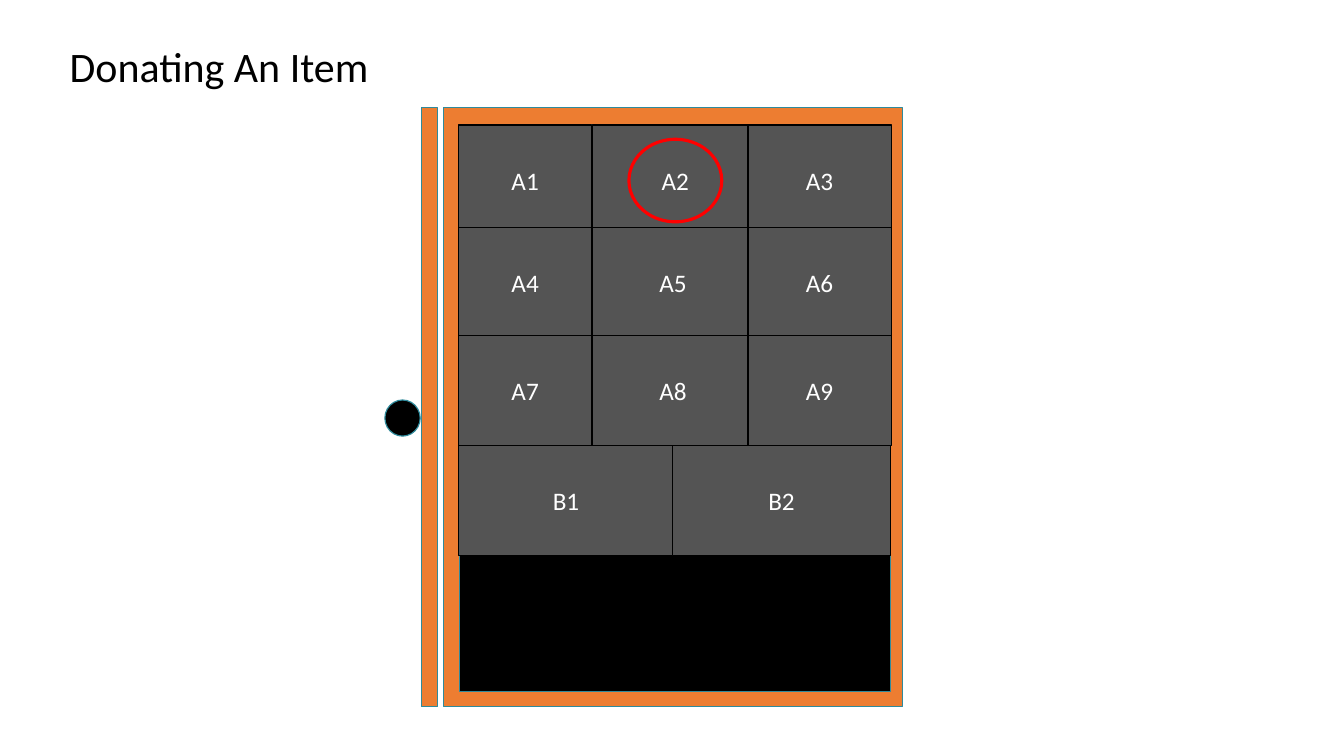
"""Builds the locker diagram slide on donating an item."""
from dataclasses import dataclass
from typing import Optional

from pptx import Presentation
from pptx.dml.color import RGBColor
from pptx.enum.shapes import MSO_SHAPE as Preset
from pptx.enum.text import MSO_ANCHOR as Anchor, MSO_AUTO_SIZE as AutoSize, PP_ALIGN as Align
from pptx.util import Cm, Pt

ORANGE = RGBColor(0xED, 0x7D, 0x31)
TEAL = RGBColor(0x2F, 0x8A, 0x9B)
GREY = RGBColor(0x54, 0x54, 0x54)
BLACK = RGBColor(0, 0, 0)
WHITE = RGBColor(0xFF, 0xFF, 0xFF)
RED = RGBColor(0xFF, 0, 0)

TITLE_FONT = {"name": "Calibri", "size": Pt(30), "bold": False}
LABEL_FONT = {"name": "Calibri", "size": Pt(18)}
TITLE_FRAME = {"word_wrap": True, "vertical_anchor": Anchor.TOP,
               "auto_size": AutoSize.SHAPE_TO_FIT_TEXT}
LABEL_FRAME = {"word_wrap": True, "vertical_anchor": Anchor.MIDDLE}

ROW_TOPS = (3.15, 5.74, 8.46, 11.23)
ROW_HEIGHT = 2.77
A_COLUMNS = ((11.56, 3.35), (14.94, 4.04), (18.85, 3.61))
B_COLUMNS = ((11.56, 5.41), (16.94, 5.51))
CHOSEN = "A2"


@dataclass(frozen=True)
class Part:
    left: float
    top: float
    width: float
    height: float
    fill: Optional[RGBColor]
    line: RGBColor = TEAL
    label: str = ""
    preset: Preset = Preset.RECTANGLE
    line_width: float = 0.85


def apply_format(target, values: dict) -> None:
    for name, value in values.items():
        setattr(target, name, value)


def write_text(shape, text: str, frame_format: dict, font_format: dict,
               color: RGBColor, align: Align) -> None:
    frame = shape.text_frame
    apply_format(frame, frame_format)
    paragraph = frame.paragraphs[0]
    paragraph.alignment = align
    run = paragraph.add_run()
    run.text = text
    apply_format(run.font, font_format)
    run.font.color.rgb = color


def draw_part(slide, part: Part) -> None:
    shape = slide.shapes.add_shape(part.preset, Cm(part.left), Cm(part.top),
                                   Cm(part.width), Cm(part.height))
    shape.shadow.inherit = False
    if part.fill is None:
        shape.fill.background()
    else:
        shape.fill.solid()
        shape.fill.fore_color.rgb = part.fill
    shape.line.color.rgb = part.line
    shape.line.width = Pt(part.line_width)
    if part.label:
        write_text(shape, part.label, LABEL_FRAME, LABEL_FONT, WHITE, Align.CENTER)


def locker_boxes() -> list[Part]:
    boxes = []
    for row, top in enumerate(ROW_TOPS):
        letter, columns, first = ("A", A_COLUMNS, 3 * row + 1) if row < 3 else ("B", B_COLUMNS, 1)
        for number, (left, width) in enumerate(columns, first):
            label = f"{letter}{number}"
            boxes.append(Part(left, top, width, ROW_HEIGHT, GREY, BLACK,
                              "" if label == CHOSEN else label))
    return boxes


def main() -> None:
    presentation = Presentation()
    presentation.slide_width, presentation.slide_height = Cm(33.87), Cm(19.05)
    slide = presentation.slides.add_slide(presentation.slide_layouts[5])

    title = slide.shapes.title
    apply_format(title, {"left": Cm(1.5), "top": Cm(0.89),
                         "width": Cm(11.25), "height": Cm(1.55)})
    write_text(title, "Donating An Item", TITLE_FRAME, TITLE_FONT, BLACK, Align.LEFT)

    cabinet = Part(11.18, 2.72, 11.56, 15.09, ORANGE)
    door = Part(10.62, 2.72, 0.41, 15.09, ORANGE)
    knob = Part(9.7, 10.08, 0.89, 0.91, BLACK, preset=Preset.OVAL)
    interior = Part(11.58, 3.15, 10.87, 14.27, BLACK)
    marker = Part(15.85, 3.51, 2.34, 2.08, None, RED, CHOSEN, Preset.OVAL, 2.25)
    for part in (cabinet, door, knob, interior, *locker_boxes(), marker):
        draw_part(slide, part)

    presentation.save("out.pptx")


if __name__ == "__main__":
    main()
